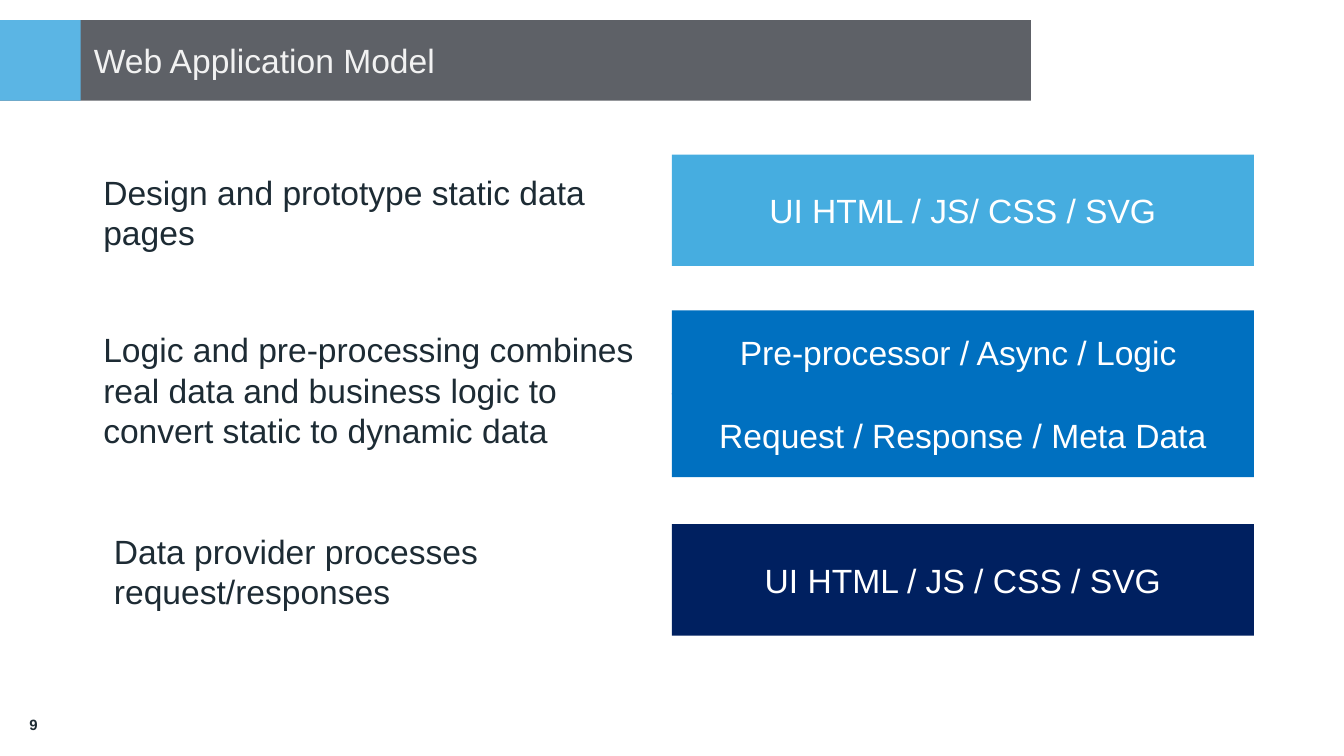
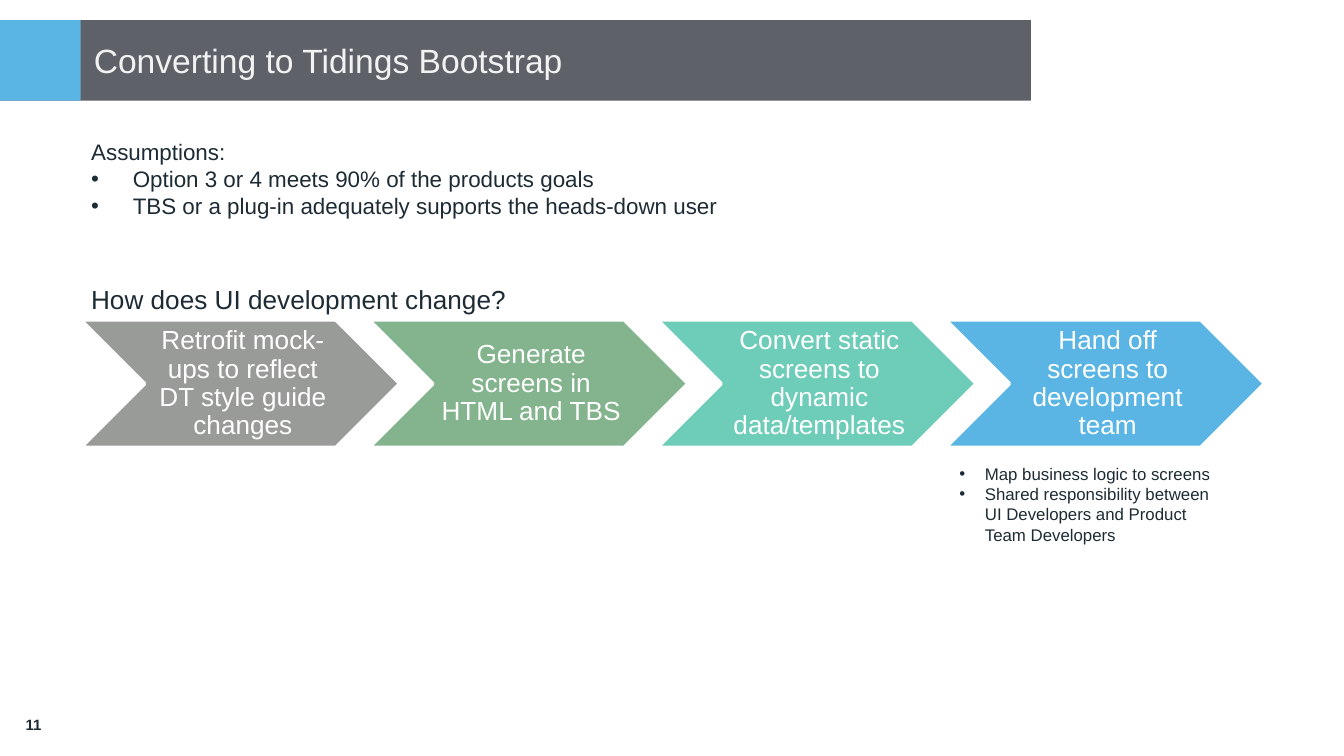
from lxml.etree import SubElement
from pptx import Presentation
from pptx.dml.color import RGBColor
from pptx.enum.shapes import MSO_SHAPE
from pptx.enum.text import MSO_ANCHOR, MSO_AUTO_SIZE, PP_ALIGN
from pptx.oxml.ns import qn
from pptx.util import Inches, Pt

FONT = "Arial"
COLORS = {
    "band": "5E6167", "accent": "5BB5E4", "title": "F2F2F2", "ink": "1D2B34",
    "white": "FFFFFF", "sky": "46ADE0", "blue": "0070C0", "navy": "002060",
    "gray": "999B98", "green": "83B48E", "teal": "6ECDB8",
}


def color(name):
    """Return the palette colour with this name."""
    return RGBColor.from_string(COLORS[name])


def add_bullet(para, margin, hang):
    """Give a paragraph a bullet with a hanging indent."""
    properties = para._p.get_or_add_pPr()
    properties.set("marL", str(Inches(margin)))
    properties.set("indent", str(-Inches(hang)))
    SubElement(properties, qn("a:buFont")).set("typeface", FONT)
    SubElement(properties, qn("a:buChar")).set("char", "•")


def write(shape, lines, size=18, ink="ink", bold=False, align=PP_ALIGN.LEFT,
          anchor=MSO_ANCHOR.TOP, insets=(0.1, 0.05, 0.1, 0.05), wrap=True,
          grow=False, spacing=None, bullets_from=None, indent=(0.31, 0.31)):
    """Write lines into a shape, one paragraph each."""
    frame = shape.text_frame
    frame.word_wrap = wrap
    frame.auto_size = MSO_AUTO_SIZE.SHAPE_TO_FIT_TEXT if grow else MSO_AUTO_SIZE.NONE
    frame.vertical_anchor = anchor
    (frame.margin_left, frame.margin_top,
     frame.margin_right, frame.margin_bottom) = map(Inches, insets)
    for index, line in enumerate(lines):
        para = frame.add_paragraph() if index else frame.paragraphs[0]
        para.alignment = align
        if spacing:
            para.line_spacing = spacing
        if bullets_from is not None and index >= bullets_from:
            add_bullet(para, *indent)
        span = para.add_run()
        span.text = line
        span.font.name = FONT
        span.font.size = Pt(size)
        span.font.bold = bold
        span.font.color.rgb = color(ink)


def add_text(parent, box, *lines, **style):
    """Add a text box to a page or group."""
    write(parent.shapes.add_textbox(*map(Inches, box)), lines, **style)


def add_block(parent, box, fill, kind=MSO_SHAPE.RECTANGLE, outline=None):
    """Add a flat filled shape to a page or group."""
    block = parent.shapes.add_shape(kind, *map(Inches, box))
    block.shadow.inherit = False
    block.fill.solid()
    block.fill.fore_color.rgb = color(fill)
    if outline:
        block.line.color.rgb = color(outline)
        block.line.width = Pt(2)
    else:
        block.line.fill.background()
    return block


def add_page(deck, title, number):
    """Add a page with the title band and page number."""
    page = deck.slides.add_slide(deck.slide_layouts[6])
    left, top, width, height = 0, 0.15, 7.67, 0.6
    add_block(page, (left, top, width, height), "band")
    add_block(page, (left, top, height, height), "accent")
    add_text(page, (0, 5.15, 0.5, 0.48), number, size=8, bold=True,
             align=PP_ALIGN.CENTER, anchor=MSO_ANCHOR.MIDDLE)
    add_text(page, (left + height, top, width - height, height), title,
             ink="title", anchor=MSO_ANCHOR.MIDDLE, insets=(0.1, 0.01, 0.1, 0.01))
    return page


def add_layer(page, box, fill, labels, note, note_box):
    """Stack one block per label in a box, with a note beside it."""
    left, top, width, height = box
    overlap = 0.01
    part = (height + overlap * (len(labels) - 1)) / len(labels)
    for index, label in enumerate(labels):
        block = add_block(page, (left, top + index * (part - overlap), width, part), fill)
        write(block, [label], ink="white", align=PP_ALIGN.CENTER,
              anchor=MSO_ANCHOR.MIDDLE)
    shift, drop, note_height = note_box
    add_text(page, (shift, top + drop, 4.92 - shift, note_height), note, grow=True)


def add_process(page, box, steps):
    """Spread overlapping chevrons evenly across a box."""
    left, top, width, height = box
    chevron = 2.5 * height
    pitch = (width - chevron) / (len(steps) - 1)
    for index, (label, fill) in enumerate(steps):
        group = page.shapes.add_group_shape()
        start = left + index * pitch
        add_block(group, (start, top, chevron, height), fill,
                  kind=MSO_SHAPE.CHEVRON, outline="white")
        add_text(group, (start + height / 2, top, chevron - height, height), label,
                 size=14, ink="white", align=PP_ALIGN.CENTER,
                 anchor=MSO_ANCHOR.MIDDLE, insets=(0.06, 0.02, 0.02, 0.02),
                 spacing=0.9)


def build_model_page(deck):
    """Build the page of application layers."""
    page = add_page(deck, "Web Application Model", "9")
    layers = [
        (1.15, 0.83, "sky", ["UI HTML / JS/ CSS / SVG"],
         "Design and prototype static data pages", (0.67, 0.08, 0.71)),
        (2.31, 1.24, "blue",
         ["Pre-processor / Async / Logic ", "Request / Response / Meta Data"],
         "Logic and pre-processing combines real data and business logic "
         "to convert static to dynamic data", (0.67, 0.09, 1.01)),
        (3.9, 0.83, "navy", ["UI HTML / JS / CSS / SVG"],
         "Data provider processes request/responses", (0.75, 0, 0.71)),
    ]
    for top, height, *content in layers:
        add_layer(page, (5, top, 4.33, height), *content)


def build_conversion_page(deck):
    """Build the page of assumptions and process steps."""
    page = add_page(deck, "Converting to Tidings Bootstrap", "11")
    add_process(page, (0.6, 2.38, 8.81, 0.95), [
        ("Retrofit mock-ups to reflect DT style guide changes", "gray"),
        ("Generate screens in HTML and TBS", "green"),
        ("Convert static screens to dynamic data/templates", "teal"),
        ("Hand off screens to development team", "accent"),
    ])
    add_text(page, (6.92, 3.4, 2.33, 0.71), "Map business logic to screens",
             "Shared responsibility between UI Developers and Product Team Developers",
             size=9, grow=True, bullets_from=0, indent=(0.31, 0.19))
    add_text(page, (0.58, 0.98, 7.08, 0.71), "Assumptions:",
             "Option 3 or 4 meets 90% of the products goals",
             "TBS or a plug-in adequately supports the heads-down user",
             size=12, grow=True, bullets_from=1)
    add_text(page, (0.58, 2.06, 3.3, 0.34), "How does UI development change?",
             size=14, grow=True, wrap=False)


deck = Presentation()
deck.slide_width = Inches(10)
deck.slide_height = Inches(10 * 9 / 16)
build_model_page(deck)
build_conversion_page(deck)
deck.save("out.pptx")
